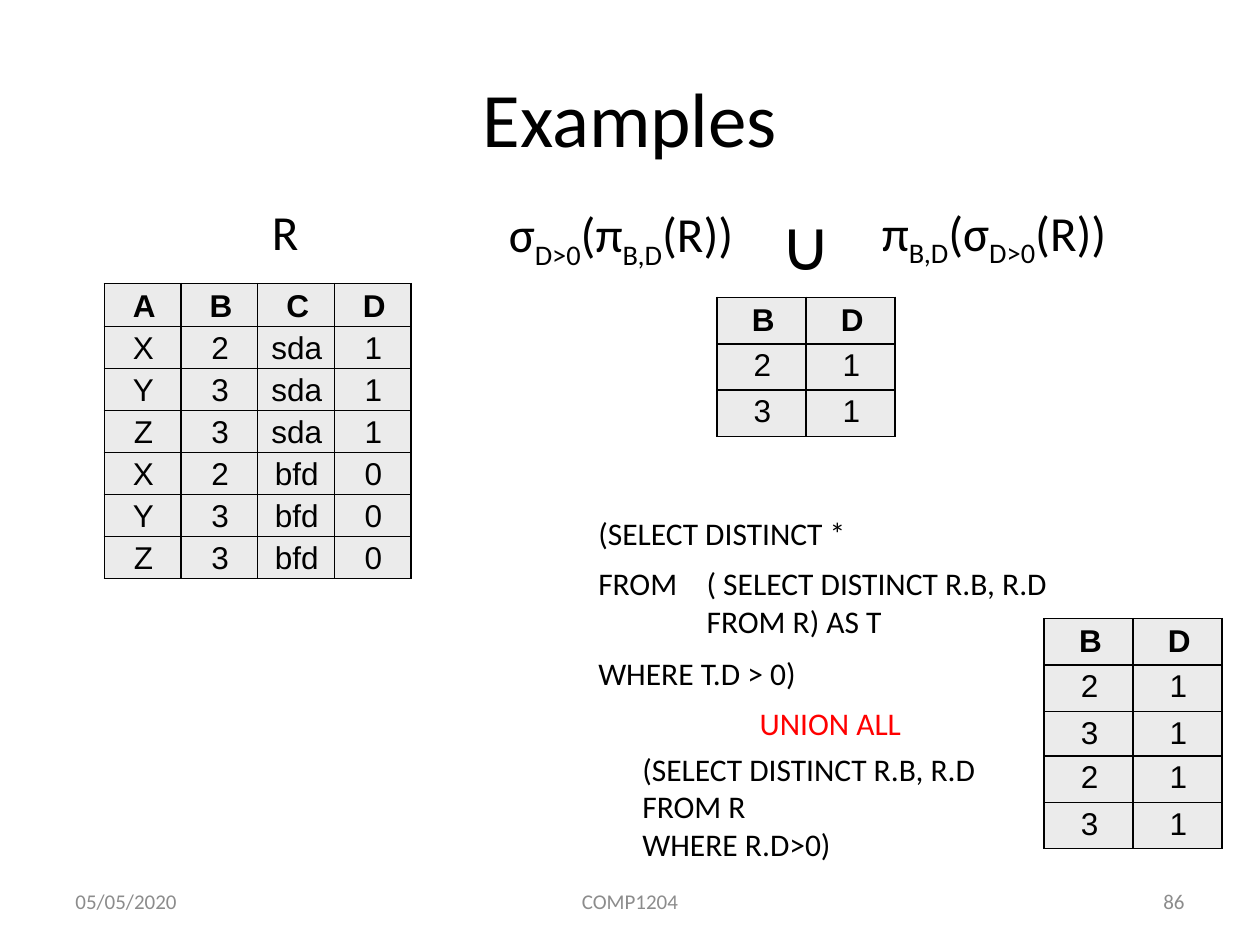
import pptx
import pptx.util
import pptx.dml.color
import pptx.enum.text
import pptx.oxml
import pptx.oxml.ns

Pt = pptx.util.Pt
Align = pptx.enum.text.PP_ALIGN
Anchor = pptx.enum.text.MSO_ANCHOR


def color(hex_string):
    return pptx.dml.color.RGBColor.from_string(hex_string)


def add_text(page, left, top, width, height, lines, size, fill="000000", wrap=False):
    """Add a text box; text between underscores is set as subscript."""
    box = page.shapes.add_textbox(Pt(left), Pt(top), Pt(width), Pt(height))
    frame = box.text_frame
    frame.word_wrap = wrap
    for index, line in enumerate(lines):
        para = frame.paragraphs[0] if index == 0 else frame.add_paragraph()
        for part, text in enumerate(line.split("_")):
            span = para.add_run()
            span.text = text
            if part % 2:
                span._r.get_or_add_rPr().set("baseline", "-25000")
        para.font.name = "Calibri"
        para.font.size = Pt(size)
        para.font.color.rgb = color(fill)
    return frame


deck = pptx.Presentation()
deck.slide_width, deck.slide_height = Pt(720), Pt(540)
page = deck.slides.add_slide(deck.slide_layouts[5])

# Title
title = page.shapes.title
title.left, title.top, title.width, title.height = Pt(36), Pt(21.6), Pt(648), Pt(90)
title.text_frame.text = "Examples"
title.text_frame.vertical_anchor = Anchor.MIDDLE
heading = title.text_frame.paragraphs[0]
heading.alignment = Align.CENTER
heading.font.name = "Calibri"
heading.font.size = Pt(44)
heading.font.color.rgb = color("000000")

# Footer: date, course, page number
for left, width, text, alignment in [
    (36, 168, "05/05/2020", Align.LEFT),
    (246, 228, "COMP1204", Align.CENTER),
    (516, 168, "86", Align.RIGHT),
]:
    footer = add_text(page, left, 500.5, width, 28.75, [text], 12, "8C8C8C", True)
    footer.vertical_anchor = Anchor.MIDDLE
    footer.paragraphs[0].alignment = alignment

# Relation R, the union result and the two halves of the union-all result
relation = ["ABCD"] + [
    (a, b, c, d)
    for c, d in [("sda", "1"), ("bfd", "0")]
    for a, b in ["X2", "Y3", "Z3"]
]
result = ["BD", "21", "31"]
tables = [
    (59.6, 162, 43.8, 23.7, relation, True),
    (409.8, 170, 50.8, 26.5, result, True),
    (596.7, 353.5, 50.8, 26.5, result, True),
    (596.7, 432, 50.8, 26.5, result[1:], False),
]
border = (
    '<a:{} {} w="12700"><a:solidFill><a:srgbClr val="000000"/></a:solidFill></a:{}>'
)
for left, top, column_width, row_height, rows, has_header in tables:
    columns = len(rows[0])
    table = page.shapes.add_table(
        len(rows), columns, Pt(left), Pt(top),
        Pt(column_width * columns), Pt(row_height * len(rows)),
    ).table
    table.first_row = has_header
    table.horz_banding = False
    for column in table.columns:
        column.width = Pt(column_width)
    for row_index, values in enumerate(rows):
        table.rows[row_index].height = Pt(row_height)
        is_header = has_header and row_index == 0
        for column_index, value in enumerate(values):
            cell = table.cell(row_index, column_index)
            cell.text = value
            cell.margin_left = Pt(2 if is_header else 1)
            cell.margin_top = Pt(3 if is_header else 2.4)
            cell.margin_right = cell.margin_bottom = 0
            properties = cell._tc.get_or_add_tcPr()
            for side in ["lnL", "lnR", "lnT", "lnB"]:
                properties.append(pptx.oxml.parse_xml(
                    border.format(side, pptx.oxml.ns.nsdecls("a"), side)))
            cell.fill.solid()
            cell.fill.fore_color.rgb = color("EBEBEB")
            para = cell.text_frame.paragraphs[0]
            para.alignment = Align.CENTER
            para.font.name = "Arial"
            para.font.size = Pt(18)
            para.font.bold = is_header
            para.font.color.rgb = color("000000")

# Relation name and algebra expressions
add_text(page, 148.3, 111.6, 71.3, 41, ["R"], 28, wrap=True)
add_text(page, 283.7, 113, 152, 41, ["σ_D>0_(π_B,D_(R))"], 28)
add_text(page, 439.2, 110.9, 54.7, 55.4, ["∪"], 40)
add_text(page, 496.8, 112.3, 157.7, 41, ["π_B,D_(σ_D>0_(R))"], 28, wrap=True)

# SQL query
add_text(page, 334.8, 290.2, 157.7, 28.8, ["(SELECT DISTINCT *"], 18)
add_text(page, 334.8, 319, 59.8, 28.8, ["FROM"], 18)
add_text(page, 396.7, 319, 211, 51,
         ["( SELECT DISTINCT R.B, R.D", "FROM R) AS T"], 18)
add_text(page, 334.8, 370, 136.8, 28.8, ["WHERE T.D > 0)"], 18)
add_text(page, 427, 398.9, 96.5, 28.8, ["UNION ALL"], 18, "FF0000")
add_text(page, 360, 424.8, 206.6, 72.7,
         ["(SELECT DISTINCT R.B, R.D", "FROM R", "WHERE R.D>0)"], 18)

deck.save("out.pptx")
